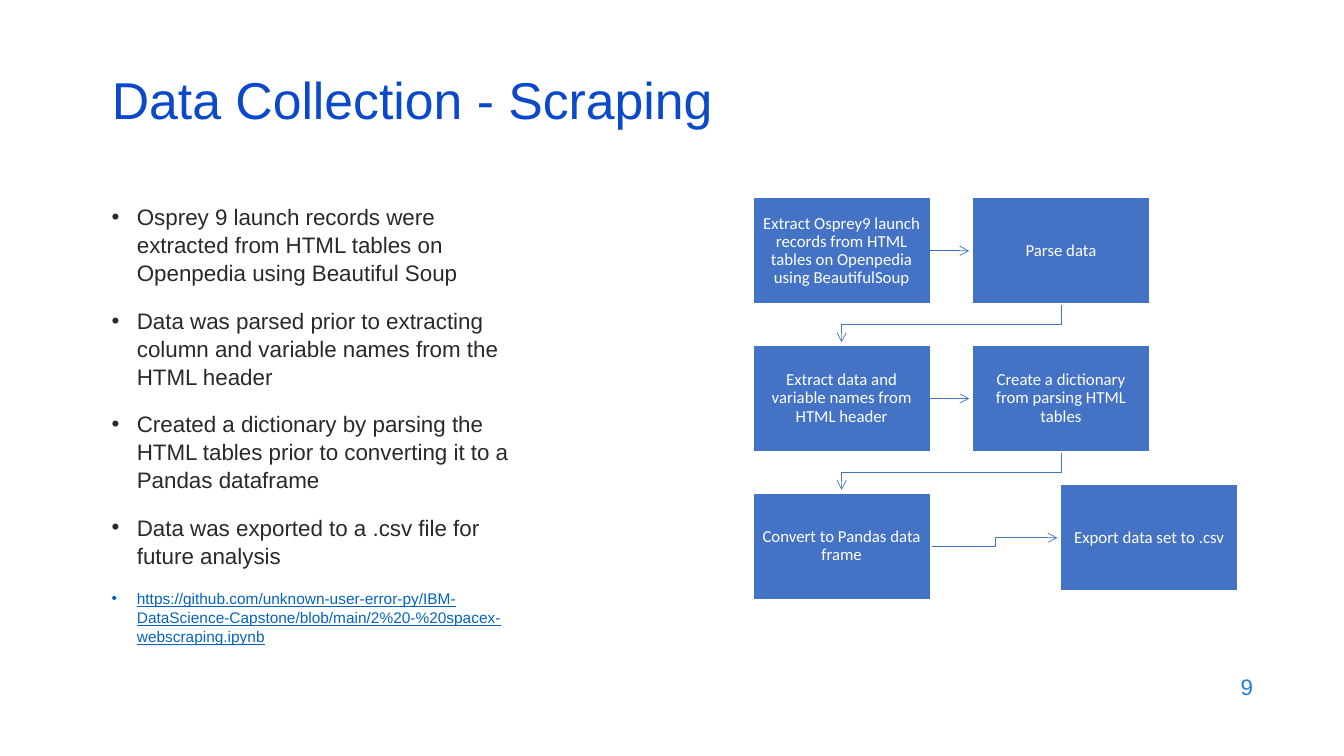
from lxml import etree
from pptx import Presentation
from pptx.dml.color import RGBColor
from pptx.enum import shapes, text
from pptx.oxml import ns
from pptx.util import Pt

COLORS = {"title": "0B49CB", "body": "292929", "link": "0563C1",
          "number": "1C7DDB", "step": "4472C4", "white": "FFFFFF"}
BULLETS = [
    "Osprey 9 launch records were extracted from HTML tables on Openpedia using Beautiful Soup",
    "Data was parsed prior to extracting column and variable names from the HTML header",
    "Created a dictionary by parsing the HTML tables prior to converting it to a Pandas dataframe",
    "Data was exported to a .csv file for future analysis",
]
LINK = ("https://github.com/unknown-user-error-py/IBM-DataScience-Capstone"
        "/blob/main/2%20-%20spacex-webscraping.ipynb")
STEPS = [
    "Extract Osprey9 launch records from HTML tables on Openpedia using BeautifulSoup",
    "Parse data",
    "Extract data and variable names from HTML header",
    "Create a dictionary from parsing HTML tables",
    "Convert to Pandas data frame",
    "Export data set to .csv",
]
STEP_W, STEP_H = 126.8, 76.1
PITCH_X, PITCH_Y = 156.7, 105.5
EXPORT_DX, EXPORT_DY = 63, -6
GAP = 2.2


def rgb(name):
    return RGBColor.from_string(COLORS[name])


def style(p, font, size, color):
    for r in p.runs:
        r.font.name = font
        r.font.size = Pt(size)
        r.font.color.rgb = rgb(color)


def add_title(s, x, y, w, h):
    sp = s.shapes.title
    sp.left, sp.top, sp.width, sp.height = Pt(x), Pt(y), Pt(w), Pt(h)
    tf = sp.text_frame
    tf.text = "Data Collection - Scraping"
    tf.vertical_anchor = text.MSO_ANCHOR.MIDDLE
    p = tf.paragraphs[0]
    p.alignment = text.PP_ALIGN.LEFT
    p.line_spacing = 0.7
    style(p, "Arial", 37, "title")


def add_bullets(s, x, y, w, h):
    tf = s.shapes.add_textbox(Pt(x), Pt(y), Pt(w), Pt(h)).text_frame
    tf.word_wrap = True
    tf.text = "\n".join(BULLETS + [LINK])
    for i, p in enumerate(tf.paragraphs):
        pPr = p._p.get_or_add_pPr()
        pPr.set("marL", str(Pt(18)))
        pPr.set("indent", str(-Pt(18)))
        etree.SubElement(pPr, ns.qn("a:buFont")).set("typeface", "Arial")
        etree.SubElement(pPr, ns.qn("a:buChar")).set("char", "•")
        p.line_spacing = 1.04
        p.space_before = Pt(14 if i else 0)
        style(p, "Arial", 16, "body")
    style(p, "Arial", 11, "link")
    p.runs[0].font.underline = True


def add_step(s, label, x, y):
    sp = s.shapes.add_shape(shapes.MSO_SHAPE.RECTANGLE,
                            Pt(x), Pt(y), Pt(STEP_W), Pt(STEP_H))
    sp.shadow.inherit = False
    sp.fill.solid()
    sp.fill.fore_color.rgb = rgb("step")
    sp.line.color.rgb = rgb("white")
    sp.line.width = Pt(1)
    tf = sp.text_frame
    tf.word_wrap = True
    tf.margin_left = tf.margin_right = tf.margin_top = tf.margin_bottom = Pt(6.2)
    tf.vertical_anchor = text.MSO_ANCHOR.MIDDLE
    tf.text = label
    p = tf.paragraphs[0]
    p.alignment = text.PP_ALIGN.CENTER
    p.line_spacing = 0.9
    style(p, "Calibri", 12, "white")
    return sp


def format_arrow(sp):
    sp.line.color.rgb = rgb("step")
    sp.line.width = Pt(0.5)
    etree.SubElement(sp.line._get_or_add_ln(), ns.qn("a:tailEnd")).set("type", "arrow")


def add_straight_arrow(s, start, end):
    y = start.top + start.height // 2
    sp = s.shapes.add_connector(shapes.MSO_CONNECTOR.STRAIGHT,
                                start.left + start.width, y, end.left - Pt(GAP), y)
    sp.begin_connect(start, 3)
    format_arrow(sp)
    etree.SubElement(sp._element.spPr, ns.qn("a:effectLst"))


def add_bent_arrow(s, points):
    builder = s.shapes.build_freeform(*points[0])
    builder.add_line_segments(points[1:], close=False)
    sp = builder.convert_to_shape()
    sp.shadow.inherit = False
    sp.fill.background()
    format_arrow(sp)


def add_down_arrow(s, start, end):
    x1 = start.left + start.width // 2
    x2 = end.left + end.width // 2
    y1 = start.top + start.height
    y2 = end.top - Pt(GAP)
    mid = (y1 + end.top) // 2
    add_bent_arrow(s, [(x1, y1 + Pt(1)), (x1, mid), (x2, mid), (x2, y2)])


def add_side_arrow(s, start, end):
    x1 = start.left + start.width
    x2 = end.left - Pt(GAP)
    y1 = start.top + start.height // 2
    y2 = end.top + end.height // 2
    mid = (x1 + end.left) // 2
    add_bent_arrow(s, [(x1 + Pt(1), y1), (mid, y1), (mid, y2), (x2, y2)])


def add_flow(s, x, y):
    boxes = []
    for i, label in enumerate(STEPS):
        row, col = divmod(i, 2)
        last = i == len(STEPS) - 1
        boxes.append(add_step(s, label,
                              x + col * PITCH_X + last * EXPORT_DX,
                              y + row * PITCH_Y + last * EXPORT_DY))
    for i in (0, 2):
        add_straight_arrow(s, boxes[i], boxes[i + 1])
        add_down_arrow(s, boxes[i + 1], boxes[i + 2])
    add_side_arrow(s, boxes[4], boxes[5])


def add_number(s, x, y, w, h):
    tf = s.shapes.add_textbox(Pt(x), Pt(y), Pt(w), Pt(h)).text_frame
    tf.word_wrap = True
    tf.vertical_anchor = text.MSO_ANCHOR.MIDDLE
    tf.text = "9"
    tf.paragraphs[0].alignment = text.PP_ALIGN.RIGHT
    style(tf.paragraphs[0], "Arial", 16, "number")


def main():
    prs = Presentation()
    prs.slide_width, prs.slide_height = Pt(960), Pt(540)
    s = prs.slides.add_slide(prs.slide_layouts[5])
    add_title(s, 72.7, 54.7, 828, 43.2)
    add_bullets(s, 72.7, 141.1, 309.6, 300.2)
    add_flow(s, 537.8, 141.1)
    add_number(s, 686.2, 474.5, 216, 31.7)
    prs.save("out.pptx")


if __name__ == "__main__":
    main()
